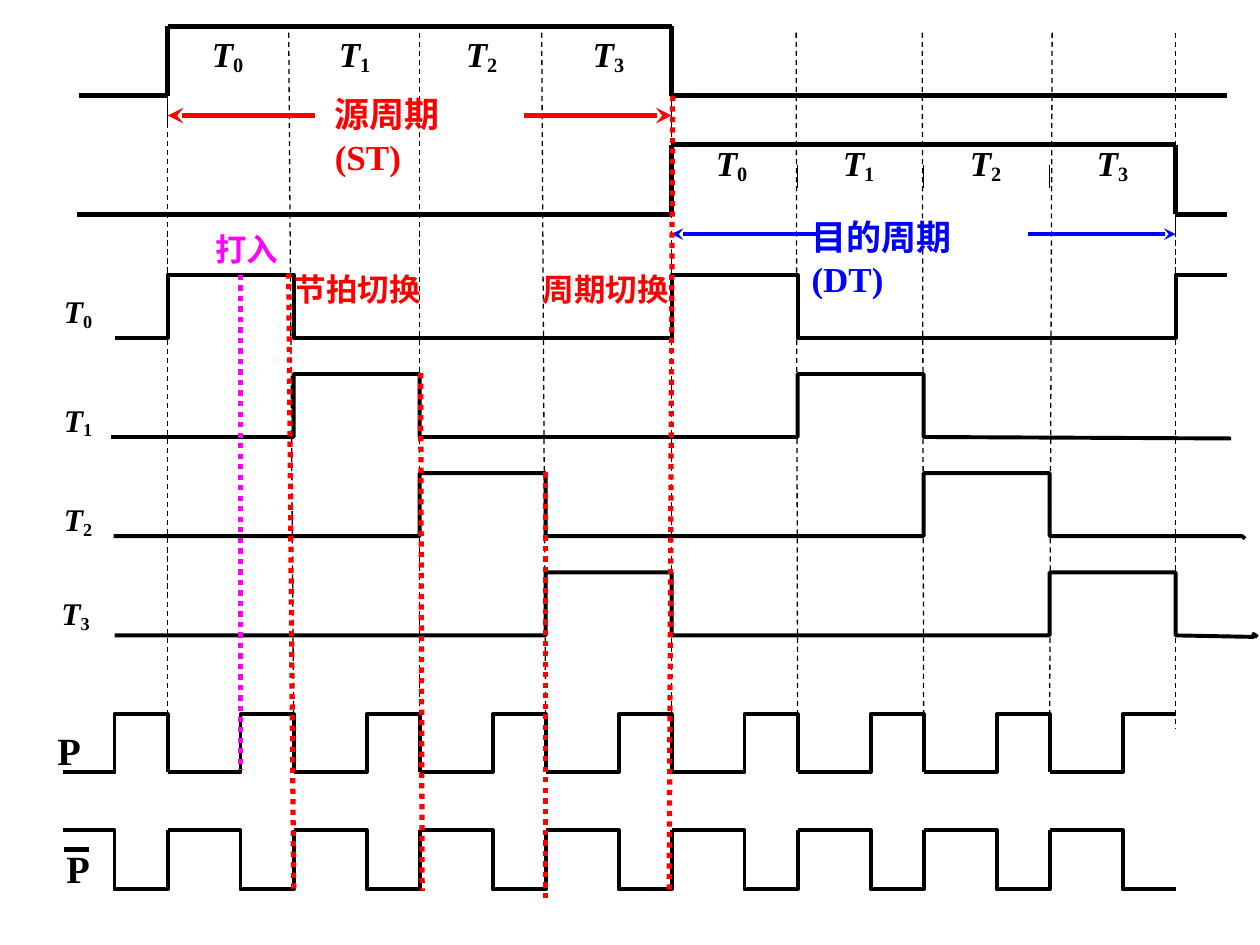
from dataclasses import dataclass
from itertools import pairwise
from lxml.etree import SubElement as SubEl
from pptx import Presentation
from pptx.dml.color import RGBColor as Rgb
from pptx.enum.dml import MSO_LINE as Dash
from pptx.enum.shapes import MSO_CONNECTOR as Conn
from pptx.oxml.ns import qn
from pptx.util import Cm, Pt


@dataclass(frozen=True)
class Theme:
    font: str = "Times New Roman"
    ink: str = "000000"
    red: str = "FF0000"
    blue: str = "0000FF"
    pink: str = "FF00FF"
    small: int = 18
    mid: int = 20
    big: int = 22
    hair: float = 0.75
    wave: float = 2.25
    bold: float = 3


@dataclass(frozen=True)
class Box:
    x: float
    y: float
    w: float
    h: float


THEME = Theme()
BEAT = 2.54
BEATS = 8


def add_line(shapes, start, end, width, color=THEME.ink, dash=None, arrow=False):
    line = shapes.add_connector(Conn.STRAIGHT, *(Cm(v) for v in (*start, *end)))
    line.line.color.rgb = Rgb.from_string(color)
    line.line.width = Pt(width)
    if dash:
        line.line.dash_style = dash
    props = line._element.spPr
    if arrow:
        SubEl(props.find(qn("a:ln")), qn("a:tailEnd"), type="stealth")
    SubEl(props, qn("a:effectLst"))


def add_path(shapes, points):
    first, *rest = [(Cm(x), Cm(y)) for x, y in points]
    pen = shapes.build_freeform(*first)
    pen.add_line_segments(rest, close=False)
    shape = pen.convert_to_shape()
    shape.shadow.inherit = False
    shape.fill.background()
    shape.line.color.rgb = Rgb.from_string(THEME.ink)
    shape.line.width = Pt(THEME.wave)


def add_text(shapes, box, text, size, color=THEME.ink, sub=None, wrap=False):
    frame = shapes.add_textbox(*(Cm(v) for v in (box.x, box.y, box.w, box.h))).text_frame
    frame.word_wrap = wrap
    para = frame.paragraphs[0]
    for part in filter(None, (text, sub)):
        run = para.add_run()
        run.text = part
        font = run.font
        font.name, font.size, font.bold = THEME.font, Pt(size), True
        font.color.rgb = Rgb.from_string(color)
        if sub:
            font.italic = part == text
        if part == sub:
            run._r.get_or_add_rPr().set("baseline", "-15000")


def add_guides(shapes, box):
    shifts = (0, -0.1, 0, -0.08, 0, -0.03, -0.03, 0.05, 0)
    for i, shift in enumerate(shifts):
        x = box.x + i * BEAT
        add_line(shapes, (x + shift, box.y), (x, box.y + box.h), THEME.hair, dash=Dash.DASH)


def add_phase(shapes, box, ends, name, color, width, label, rise):
    low, right = box.y + box.h, box.x + box.w
    points = [(ends[0], low), (box.x, low), (box.x, box.y),
              (right, box.y), (right, low), (ends[1], low)]
    for start, end in pairwise(points):
        add_line(shapes, start, end, THEME.bold)
    level = box.y + 1.8
    for tip, stem in ((right, right - 2.97), (box.x, box.x + 2.97)):
        add_line(shapes, (stem, level), (tip, level), width, color, arrow=True)
    add_text(shapes, Box(box.x + label.x, box.y + label.y, label.w, label.h),
             name, THEME.mid, color, wrap=True)
    for i in range(4):
        spot = Box(box.x + 0.64 + 2.56 * i, box.y - rise, 1.19, 1.12)
        add_text(shapes, spot, "T", THEME.mid, sub=str(i))


def add_ticks(shapes, box, columns):
    for i in columns:
        x = box.x + i * BEAT
        add_line(shapes, (x, box.y), (x, box.y + box.h), THEME.hair)


def add_beat(shapes, box, index, left, tail, label):
    low = box.y + box.h
    points = [(left, low)]
    for cycle in range(2):
        x = box.x + (index + 4 * cycle) * BEAT
        points += [(x, low), (x, box.y), (x + BEAT, box.y), (x + BEAT, low)]
    if index == 0:
        last = box.x + BEATS * BEAT
        points += [(last, low), (last, box.y)]
    points += [(x, box.y + dy) for x, dy in tail]
    add_path(shapes, points)
    add_text(shapes, label, "T", THEME.small, sub=str(index))


def add_clock(shapes, box, rest, pulse, label):
    for i in range(BEATS + 1):
        end = box.x + i * BEAT
        rise = end - 1.07
        start = end - (BEAT if i else 2.11)
        back = pulse if i == BEATS else rest
        add_path(shapes, [(start, rest), (rise, rest), (rise, pulse), (end, pulse), (end, back)])
    add_text(shapes, label, "P", THEME.big)


def add_cuts(shapes):
    cuts = (
        ((5.82, 5.51), (5.92, 17.93), THEME.red),
        ((4.85, 5.54), (4.85, 15.52), THEME.pink),
        ((8.48, 7.52), (8.51, 17.96), THEME.red),
        ((11, 9.52), (11, 18.14), THEME.red),
        ((13.56, 1.93), (13.49, 17.96), THEME.red),
    )
    for start, end, color in cuts:
        add_line(shapes, start, end, THEME.bold, color, Dash.ROUND_DOT)
    notes = (
        (Box(4.09, 4.52, 1.9, 1.02), "打入", THEME.pink),
        (Box(5.69, 5.31, 3.1, 1.02), "节拍切换", THEME.red),
        (Box(10.69, 5.31, 3.1, 1.02), "周期切换", THEME.red),
    )
    for box, text, color in notes:
        add_text(shapes, box, text, THEME.small, color)


def main():
    deck = Presentation()
    deck.slide_width, deck.slide_height = Cm(25.4), Cm(19.05)
    shapes = deck.slides.add_slide(deck.slide_layouts[6]).shapes
    left, span = 3.38, BEATS * BEAT
    half = span / 2

    beats = (
        (2.31, [(24.74, 0)], 1.04, 5.77),
        (2.24, [(24.82, 1.3)], 1.04, 7.95),
        (2.29, [(25.04, 1.27), (25.1, 1.32)], 1.04, 9.96),
        (2.31, [(25.27, 1.3), (25.27, 1.24), (25.35, 1.3)], 0.99, 11.86),
    )
    for i, (start, tail, x, y) in enumerate(beats):
        add_beat(shapes, Box(left, 5.54 + 2 * i, span, 1.27), i, start, tail,
                 Box(x, y, 1.12, 1.02))
    add_clock(shapes, Box(left, 14.4, span, 1.17), 15.57, 14.4, Box(0.91, 14.53, 0.99, 1.19))
    add_guides(shapes, Box(left, 0.66, span, 14.02))
    add_ticks(shapes, Box(left, 0.74, span, 1.75), (0, 4))
    add_phase(shapes, Box(left, 0.53, half, 1.4), (1.6, 24.74), "源周期(ST)",
              THEME.red, THEME.bold, Box(3.12, 1.22, 3.8, 1.12), 0)
    add_ticks(shapes, Box(left, 3.33, span, 0.46), (5, 6, 7))
    add_ticks(shapes, Box(left, 2.95, span, 1.75), (8,))
    add_phase(shapes, Box(left + half, 2.92, half, 1.4), (1.55, 24.74), "目的周期(DT)",
              THEME.blue, THEME.wave, Box(2.57, 1.3, 4.6, 1.12), 0.2)
    add_clock(shapes, Box(left, 16.74, span, 1.19), 16.74, 17.93, Box(1.09, 16.92, 0.99, 1.19))
    add_line(shapes, (1.3, 17.12), (1.8, 17.12), THEME.bold)
    add_cuts(shapes)
    deck.save("out.pptx")


if __name__ == "__main__":
    main()
